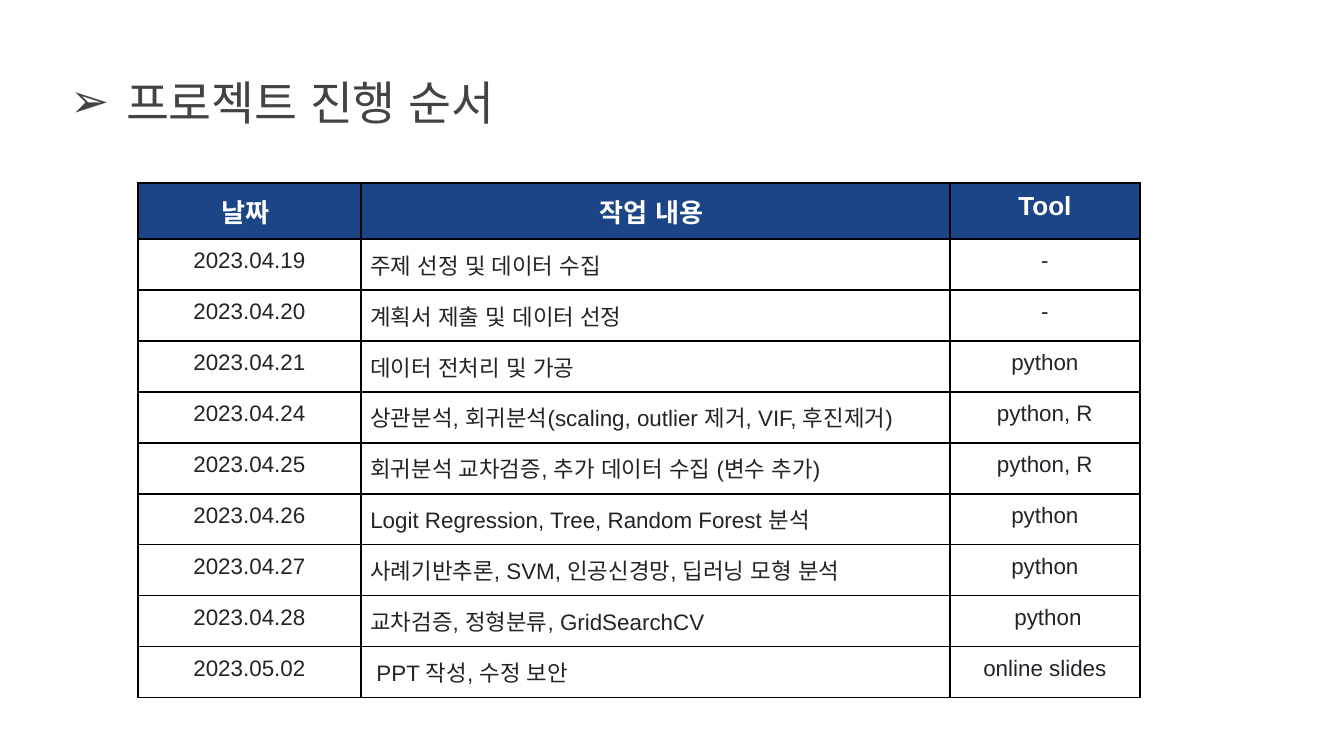
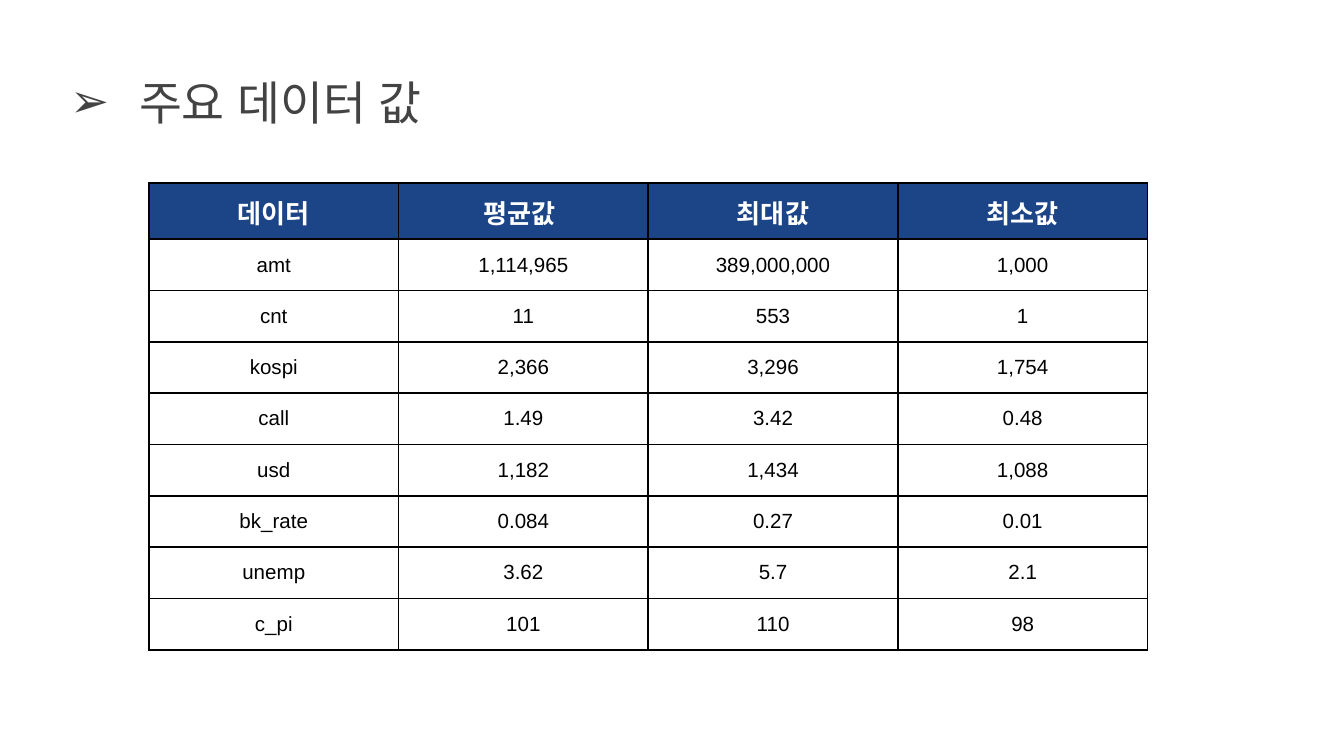
"""Builds the project schedule slide and the key data values slide."""
from dataclasses import dataclass

from lxml.etree import SubElement
from pptx import Presentation
from pptx.dml.color import RGBColor as Color
from pptx.enum.text import MSO_ANCHOR as Anchor, PP_ALIGN as Align
from pptx.oxml.ns import qn
from pptx.util import Pt


@dataclass(frozen=True)
class Theme:
    font: str = "Arial"
    title_color: str = "434343"
    header_fill: str = "1C4587"
    header_color: str = "FFFFFF"
    border_color: str = "000000"
    title_size: int = 25
    header_size: int = 14
    cell_margin: float = 5
    hangul_drop: float = 0.24


theme = Theme()


def write_text(frame, text, size, color, bold=False, align=Align.LEFT):
    frame.word_wrap = True
    paragraph = frame.paragraphs[0]
    paragraph.alignment = align
    run = paragraph.add_run()
    run.text = text
    run.font.size = Pt(size)
    run.font.bold = bold
    run.font.color.rgb = Color.from_string(color)
    run.font.name = theme.font
    for script in ("a:ea", "a:cs"):
        SubElement(run.font._element, qn(script), typeface=theme.font)
    return paragraph


def add_borders(cell):
    properties = cell._tc.get_or_add_tcPr()
    for side in ("a:lnL", "a:lnR", "a:lnT", "a:lnB"):
        line = SubElement(properties, qn(side), w=str(Pt(1)))
        fill = SubElement(line, qn("a:solidFill"))
        SubElement(fill, qn("a:srgbClr"), val=theme.border_color)


schedule_rows = [
    ("날짜 ", "작업 내용 ", "Tool"),
    ("2023.04.19", "주제 선정 및 데이터 수집", "-"),
    ("2023.04.20", "계획서 제출 및 데이터 선정", "-"),
    ("2023.04.21", "데이터 전처리 및 가공", "python"),
    ("2023.04.24", "상관분석, 회귀분석(scaling, outlier 제거, VIF, 후진제거)", "python, R"),
    ("2023.04.25", "회귀분석 교차검증, 추가 데이터 수집 (변수 추가)", "python, R"),
    ("2023.04.26", "Logit Regression, Tree, Random Forest 분석", "python"),
    ("2023.04.27", "사례기반추론, SVM, 인공신경망, 딥러닝 모형 분석", "python"),
    ("2023.04.28", "교차검증, 정형분류, GridSearchCV", " python"),
    ("2023.05.02", " PPT 작성, 수정 보안", "online slides"),
]
value_rows = [
    ("데이터", "평균값 ", "최대값", "최소값"),
    ("amt", "1,114,965", "389,000,000", "1,000"),
    ("cnt", "11", "553", "1"),
    ("kospi", "2,366", "3,296", "1,754"),
    ("call", "1.49", "3.42", "0.48"),
    ("usd", "1,182", "1,434", "1,088"),
    ("bk_rate", "0.084", "0.27", "0.01"),
    ("unemp", "3.62", "5.7", "2.1"),
    ("c_pi", "101", "110", "98"),
]
pages = [
    dict(title="프로젝트 진행 순서", rows=schedule_rows, left=73.9, widths=(119.5, 315.5, 101.8),
         row_height=24.6, size=12, color="212529", anchor=Anchor.TOP, left_columns={1}),
    dict(title=" 주요 데이터 값", rows=value_rows, left=79.8, widths=(133.75,) * 4,
         row_height=27.5, size=11, color="000000", anchor=Anchor.MIDDLE, left_columns=set()),
]

presentation = Presentation()
presentation.slide_width = Pt(720)
presentation.slide_height = Pt(405)

for page in pages:
    slide = presentation.slides.add_slide(presentation.slide_layouts[6])

    title = slide.shapes.add_textbox(Pt(24.5), Pt(32.4), Pt(671), Pt(47.5))
    frame = title.text_frame
    frame.margin_left = frame.margin_right = Pt(7.2)
    frame.margin_top = frame.margin_bottom = Pt(7.2)
    paragraph = write_text(frame, page["title"], theme.title_size, theme.title_color)
    properties = paragraph._p.get_or_add_pPr()
    properties.set("marL", str(Pt(36)))
    properties.set("indent", str(Pt(-30)))
    bullet_color = SubElement(properties, qn("a:buClr"))
    SubElement(bullet_color, qn("a:srgbClr"), val=theme.title_color)
    SubElement(properties, qn("a:buFont"), typeface=theme.font)
    SubElement(properties, qn("a:buChar"), char="➢")

    rows, widths = page["rows"], page["widths"]
    table = slide.shapes.add_table(
        len(rows), len(widths), Pt(page["left"]), Pt(98),
        Pt(sum(widths)), Pt(page["row_height"] * len(rows))).table
    table.horz_banding = False
    for column, width in zip(table.columns, widths):
        column.width = Pt(width)
    for row_index, row in enumerate(rows):
        table.rows[row_index].height = Pt(page["row_height"])
        is_header = row_index == 0
        size = theme.header_size if is_header else page["size"]
        for column_index, text in enumerate(row):
            cell = table.cell(row_index, column_index)
            add_borders(cell)
            has_hangul = any("가" <= letter <= "힣" for letter in text)
            drop = theme.hangul_drop * size if has_hangul else 0
            cell.vertical_anchor = page["anchor"]
            cell.margin_left = cell.margin_right = Pt(theme.cell_margin)
            cell.margin_top = Pt(theme.cell_margin + drop)
            cell.margin_bottom = Pt(theme.cell_margin)
            if is_header:
                cell.fill.solid()
                cell.fill.fore_color.rgb = Color.from_string(theme.header_fill)
            else:
                cell.fill.background()
            to_left = not is_header and column_index in page["left_columns"]
            write_text(cell.text_frame, text, size,
                       color=theme.header_color if is_header else page["color"],
                       bold=is_header, align=Align.LEFT if to_left else Align.CENTER)

presentation.save("out.pptx")
